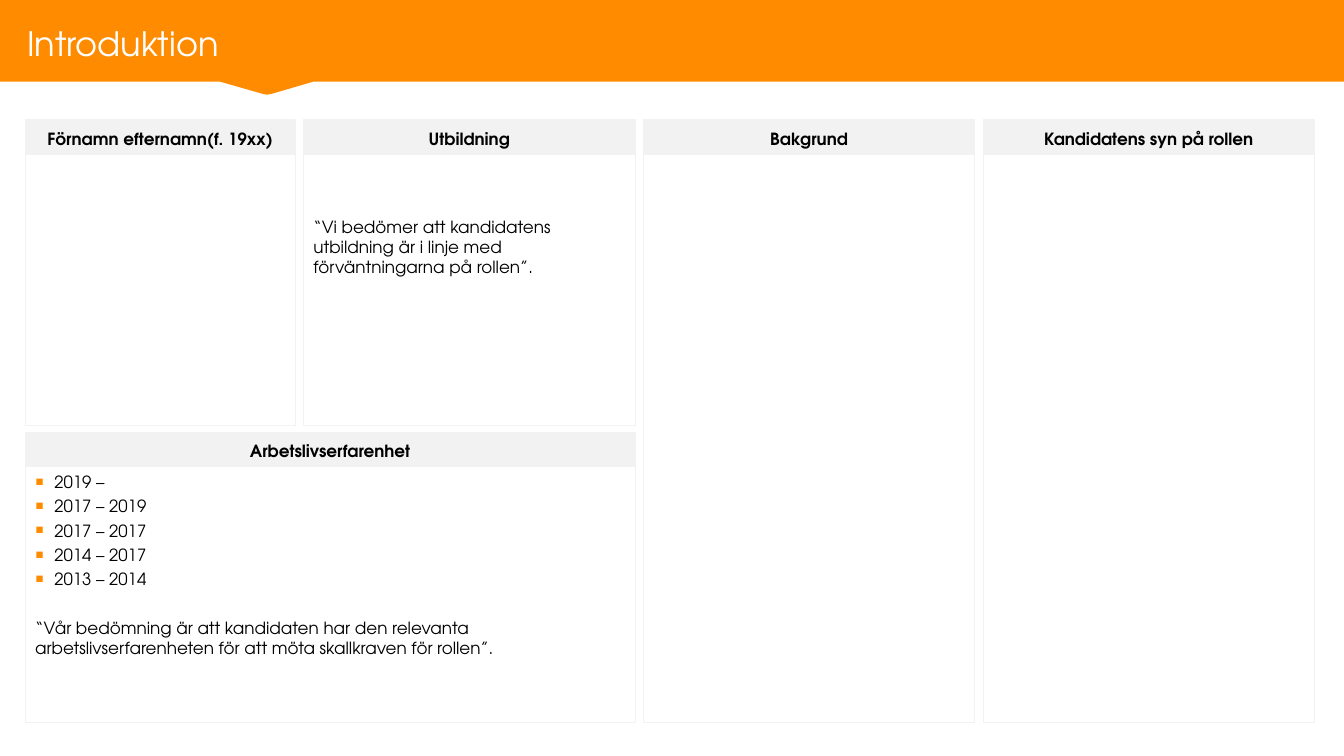
from lxml.etree import SubElement
from pptx import Presentation
from pptx.dml.color import RGBColor
from pptx.enum.shapes import MSO_SHAPE
from pptx.enum.text import MSO_ANCHOR, PP_ALIGN
from pptx.oxml import parse_xml
from pptx.oxml.ns import nsdecls, qn
from pptx.util import Inches, Pt

FONT = "TeX Gyre Adventor"
ORANGE, GREY, BLACK, WHITE = "FF8C00", "F2F2F2", "000000", "FEFEFE"
SLIDE_WIDTH, SLIDE_HEIGHT = 13.33, 7.5
HEADER_HEIGHT = 0.34
LEFT, TOP, BOTTOM, GAP = 0.25, 1.19, 7.17, 0.08
NAME_WIDTH, COLUMN_WIDTH = 2.68, 3.29
UPPER_BOTTOM, WORK_TOP = 4.22, 4.29


def color(hex_string):
    return RGBColor.from_string(hex_string)


def style(para, size=12, hex_string=BLACK, bold=False):
    for span in para.runs:
        span.font.name = FONT
        span.font.size = Pt(size)
        span.font.bold = bold
        span.font.color.rgb = color(hex_string)


def add_box(page, left, top, width, height, fill=None):
    """Add a rectangle with a thin grey outline, empty unless a fill is given."""
    box = page.shapes.add_shape(MSO_SHAPE.RECTANGLE, Inches(left), Inches(top),
                                Inches(width), Inches(height))
    box.shadow.inherit = False
    box.line.color.rgb = color(GREY)
    box.line.width = Pt(0.75)
    if fill:
        box.fill.solid()
        box.fill.fore_color.rgb = color(fill)
    else:
        box.fill.background()
    return box


def add_panel(page, heading, left, top, width, bottom):
    """Add a headed panel and return the text frame of its body."""
    body_top = top + HEADER_HEIGHT
    body = add_box(page, left, body_top, width, bottom - body_top)
    header = add_box(page, left, top, width, HEADER_HEIGHT, GREY)
    header.text_frame.vertical_anchor = MSO_ANCHOR.MIDDLE
    para = header.text_frame.paragraphs[0]
    para.text = heading
    para.alignment = PP_ALIGN.CENTER
    para.line_spacing = 1.14
    style(para, bold=True)
    frame = body.text_frame
    frame.word_wrap = True
    frame.vertical_anchor = MSO_ANCHOR.TOP
    return frame


def write_para(para, text, space_before=0, bullet=False):
    para.text = text
    para.alignment = PP_ALIGN.LEFT
    para.space_before = Pt(space_before)
    if bullet:
        properties = para._p.get_or_add_pPr()
        properties.set("marL", str(Inches(0.19)))
        properties.set("indent", str(Inches(-0.19)))
        bullet_color = SubElement(properties, qn("a:buClr"))
        SubElement(bullet_color, qn("a:srgbClr"), val=ORANGE)
        SubElement(properties, qn("a:buFont"), typeface=FONT)
        SubElement(properties, qn("a:buChar"), char="▪")
    style(para)


def add_banner(page, title):
    outline = [(0, 0), (0, 0.81), (2.18, 0.81), (2.6, 0.93), (2.65, 0.94),
               (2.7, 0.93), (3.11, 0.81), (SLIDE_WIDTH, 0.81), (SLIDE_WIDTH, 0)]
    points = [(Inches(x), Inches(y)) for x, y in outline]
    builder = page.shapes.build_freeform(*points[0])
    builder.add_line_segments(points[1:], close=True)
    banner = builder.convert_to_shape()
    banner.shadow.inherit = False
    banner.fill.solid()
    banner.fill.fore_color.rgb = color(ORANGE)
    banner.line.fill.background()

    box = page.shapes.add_textbox(Inches(0.17), Inches(0.08), Inches(11.56), Inches(0.6))
    frame = box.text_frame
    frame.word_wrap = True
    frame.vertical_anchor = MSO_ANCHOR.BOTTOM
    para = frame.paragraphs[0]
    para.text = title
    style(para, 24, WHITE)
    fill = para.runs[0].font._element.find(qn("a:solidFill"))
    fill.addnext(parse_xml(
        f'<a:effectLst {nsdecls("a")}><a:outerShdw blurRad="38100" dist="38100" dir="2700000">'
        '<a:srgbClr val="000000"><a:alpha val="43000"/></a:srgbClr>'
        '</a:outerShdw></a:effectLst>'))


def add_education(page, left):
    frame = add_panel(page, "Utbildning", left, TOP, COLUMN_WIDTH, UPPER_BOTTOM)
    frame.margin_top = Inches(0.62)
    write_para(frame.paragraphs[0],
               "“Vi bedömer att kandidatens utbildning är i linje med "
               "förväntningarna på rollen”.")


def add_work_experience(page, width):
    frame = add_panel(page, "Arbetslivserfarenhet", LEFT, WORK_TOP, width, BOTTOM)
    periods = ["2019 –", "2017 – 2019", "2017 – 2017", "2014 – 2017", "2013 – 2014"]
    for index, period in enumerate(periods):
        para = frame.add_paragraph() if index else frame.paragraphs[0]
        write_para(para, period, 3 if index else 0, bullet=True)
    write_para(frame.add_paragraph(),
               "“Vår bedömning är att kandidaten har den relevanta "
               "arbetslivserfarenheten för att möta skallkraven för rollen”.", 20.5)


def main():
    deck = Presentation()
    deck.slide_width, deck.slide_height = Inches(SLIDE_WIDTH), Inches(SLIDE_HEIGHT)
    page = deck.slides.add_slide(deck.slide_layouts[6])
    education_left = LEFT + NAME_WIDTH + GAP
    background_left = education_left + COLUMN_WIDTH + GAP
    role_left = background_left + COLUMN_WIDTH + GAP

    add_banner(page, "Introduktion")
    add_panel(page, "Förnamn efternamn(f. 19xx)", LEFT, TOP, NAME_WIDTH, UPPER_BOTTOM)
    add_education(page, education_left)
    add_work_experience(page, NAME_WIDTH + GAP + COLUMN_WIDTH)
    add_panel(page, "Bakgrund", background_left, TOP, COLUMN_WIDTH, BOTTOM)
    add_panel(page, "Kandidatens syn på rollen", role_left, TOP, COLUMN_WIDTH, BOTTOM)
    deck.save("out.pptx")


if __name__ == "__main__":
    main()
